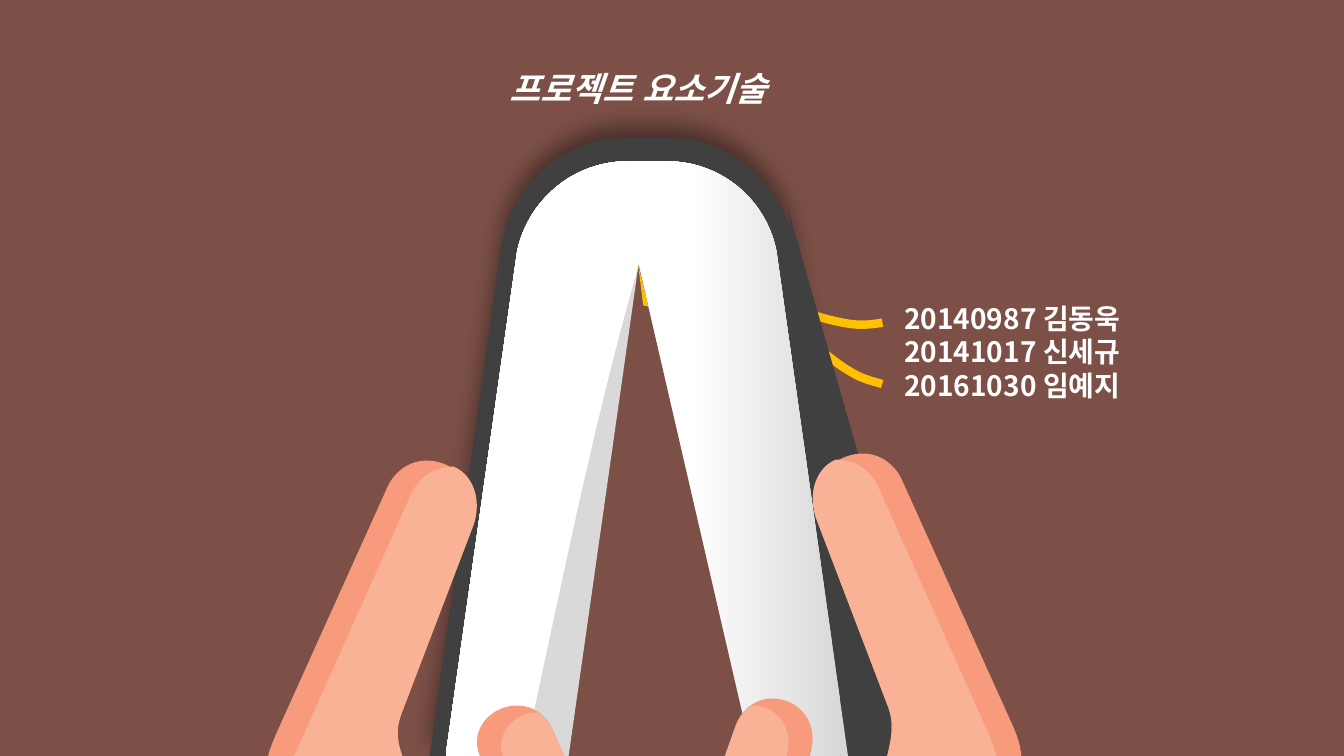
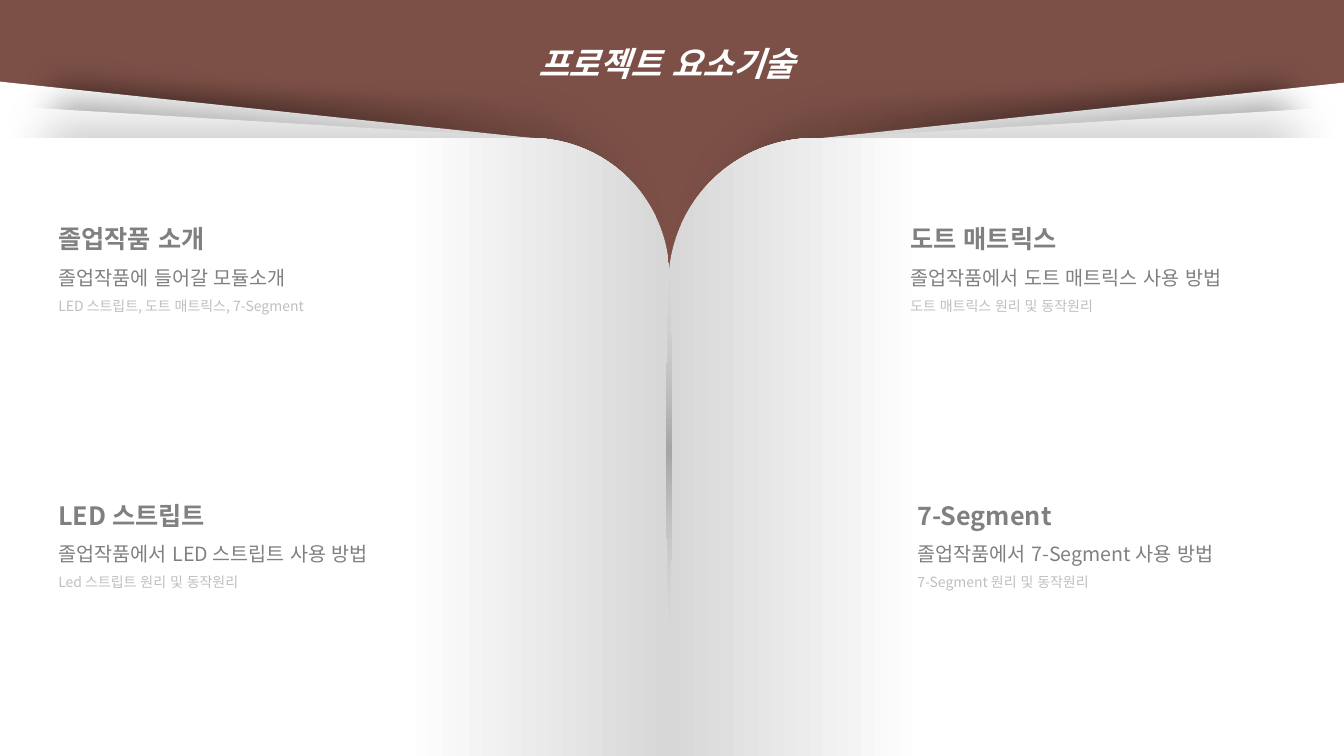
from dataclasses import dataclass

from lxml.etree import SubElement
from pptx import Presentation
from pptx.dml.color import RGBColor
from pptx.enum.lang import MSO_LANGUAGE_ID
from pptx.enum.shapes import MSO_SHAPE
from pptx.enum.text import MSO_AUTO_SIZE, PP_ALIGN
from pptx.oxml.ns import qn
from pptx.util import Inches, Pt


@dataclass(frozen=True)
class Theme:
    font: str = "Noto Sans CJK KR"
    brown: str = "7C5047"
    white: str = "FFFFFF"
    case: str = "404040"
    shade: str = "D7D7D7"
    fold: str = "D9D9D9"
    crease: str = "A6A6A6"
    yellow: str = "FFC000"
    skin: str = "F9B296"
    skin_shade: str = "F89B7D"
    heading: str = "808080"
    detail: str = "BFBFBF"
    title_size: int = 24
    name_size: int = 20
    heading_size: int = 18
    body_size: int = 14
    detail_size: int = 10


theme = Theme()


def add_outline(slide, steps, closed=True):
    """Draw steps in inches: (x, y) is a line, six numbers are a Bezier curve."""
    points = []
    for step in steps:
        if len(step) == 2:
            points.append(step)
            continue
        (x0, y0), (x1, y1, x2, y2, x3, y3) = points[-1], step
        for i in range(1, 21):
            t = i / 20
            a, b, c, d = (1 - t) ** 3, 3 * t * (1 - t) ** 2, 3 * t * t * (1 - t), t ** 3
            points.append((a * x0 + b * x1 + c * x2 + d * x3,
                           a * y0 + b * y1 + c * y2 + d * y3))
    points = [(Inches(x), Inches(y)) for x, y in points]
    builder = slide.shapes.build_freeform(*points[0])
    builder.add_line_segments(points[1:], close=closed)
    return builder.convert_to_shape()


def paint(shape, *stops, shadow=None, flip=False):
    """Fill with one colour or two (colour, position) stops; shadow is upward."""
    shape.shadow.inherit = False
    shape.line.fill.background()
    if len(stops) == 1:
        shape.fill.solid()
        shape.fill.fore_color.rgb = RGBColor.from_string(stops[0])
    else:
        shape.fill.gradient()
        shape.fill.gradient_angle = 180
        for stop, (color, position) in zip(shape.fill.gradient_stops, stops):
            stop.color.rgb = RGBColor.from_string(color)
            stop.position = position
    properties = shape.element.spPr
    if flip:
        properties.find(qn("a:xfrm")).set("flipH", "1")
    if shadow:
        opacity, blur, distance, scale = shadow
        outer = SubElement(properties.find(qn("a:effectLst")), qn("a:outerShdw"),
                           blurRad=str(Pt(blur)), dist=str(Pt(distance)), dir="16200000",
                           sx=str(scale * 1000), sy=str(scale * 1000),
                           algn="b", rotWithShape="0")
        color = SubElement(outer, qn("a:srgbClr"), val="000000")
        SubElement(color, qn("a:alpha"), val=str(opacity * 1000))


deck = Presentation()
deck.slide_width, deck.slide_height = Inches(13.33), Inches(7.5)
cover, contents = (deck.slides.add_slide(deck.slide_layouts[6]) for _ in range(2))
for page in (cover, contents):
    page.background.fill.solid()
    page.background.fill.fore_color.rgb = RGBColor.from_string(theme.brown)

# Cover: ribbons behind the book, each with its rotation
ribbons = [
    (333.2, [(8.13, 2.98), (8.23, 3.08, 8.34, 3.17, 8.43, 3.23),
             (8.52, 3.29, 8.61, 3.32, 8.7, 3.35)]),
    (0, [(8.09, 3.43), (8.21, 3.53, 8.33, 3.63, 8.44, 3.69),
         (8.55, 3.76, 8.65, 3.78, 8.75, 3.81)]),
]
for rotation, steps in ribbons:
    ribbon = add_outline(cover, steps, closed=False)
    ribbon.rotation = rotation
    ribbon.shadow.inherit = False
    ribbon.fill.background()
    ribbon.line.color.rgb = RGBColor.from_string(theme.yellow)
    ribbon.line.width = Pt(6)

# Cover: book
binding = [(6.21, 1.37), (6.63, 1.37), (7.19, 1.37, 7.67, 1.75, 7.83, 2.26), (7.88, 2.5),
           (8.58, 7.5), (4.26, 7.5), (4.96, 2.5), (5.01, 2.26),
           (5.17, 1.75, 5.64, 1.37, 6.21, 1.37)]
paint(add_outline(cover, binding), theme.case, shadow=(40, 16, 9, 100))
sheet = [(6.23, 1.6), (6.61, 1.6), (7.15, 1.6, 7.6, 1.98, 7.7, 2.49), (8.41, 7.5),
         (4.42, 7.5), (5.13, 2.49), (5.24, 1.98, 5.69, 1.6, 6.23, 1.6)]
paint(add_outline(cover, sheet), (theme.shade, 0), (theme.white, 0.4))
paint(add_outline(cover, [(7.81, 2.05), (9.37, 7.5), (8.55, 7.5)]), theme.case)
opening = cover.shapes.add_shape(MSO_SHAPE.ISOSCELES_TRIANGLE, Inches(5.21), Inches(2.63),
                                 Inches(2.25), Inches(4.87))
paint(opening, theme.brown)
fold = [(6.33, 2.65), (5.64, 7.5), (5.2, 7.5), (5.56, 5.86, 5.87, 4.26, 6.33, 2.65)]
paint(add_outline(cover, fold), theme.fold)
paint(add_outline(cover, [(6.38, 3.03), (6.33, 2.63), (6.43, 3.04)]), theme.yellow)

# Cover: right hand, and its reflection as the left hand
inner_edge = [(8.8, 6.99), (8.86, 7.14, 8.86, 7.26, 8.8, 7.5)]
fingers = [
    (theme.skin_shade, [(10.13, 7.5), (10.12, 7.38, 10.08, 7.28, 10.05, 7.21), (8.95, 4.77),
                        (8.88, 4.61, 8.73, 4.5, 8.56, 4.5),
                        (8.24, 4.5, 8, 4.81, 8.09, 5.13)] + inner_edge),
    (theme.skin_shade, [(7.19, 7.5), (7.3, 7.19), (7.36, 7.03, 7.5, 6.93, 7.66, 6.93),
                        (7.92, 6.93, 8.14, 7.17, 8.03, 7.5)]),
    (theme.skin, [(9.88, 7.5), (9.86, 7.42, 9.83, 7.34, 9.8, 7.27), (8.71, 4.83),
                  (8.64, 4.67, 8.48, 4.56, 8.29, 4.56),
                  (8.1, 4.64, 8.01, 4.88, 8.09, 5.13)] + inner_edge),
    (theme.skin, [(7.19, 7.5), (7.3, 7.19), (7.34, 7.1, 7.39, 7.04, 7.46, 7),
                  (7.72, 7, 7.88, 7.24, 7.8, 7.5)]),
]
for color, steps in fingers:
    reflected = [tuple(min(value + 0.07, 7.5) if i % 2 else 12.79 - value
                       for i, value in enumerate(step)) for step in steps]
    for side in (steps, reflected):
        paint(add_outline(cover, side), color)

# Contents: open book
leaf_shadow, page_shadow = (40, 25, 6, 80), (20, 34, 72, 86)
for left, top, flip in ((7.86, 0.82, True), (0, 0.81, False)):
    for drop, height in ((0, 0.58), (0.24, 0.33)):
        leaf = contents.shapes.add_shape(MSO_SHAPE.RIGHT_TRIANGLE, Inches(left),
                                         Inches(top + drop), Inches(5.47), Inches(height))
        paint(leaf, theme.white, shadow=leaf_shadow, flip=flip)
for left, width, corner, light, flip in ((0, 6.64, 0.224, 0.4, False),
                                         (6.63, 6.7, 0.236, 0.38, True)):
    leaf = contents.shapes.add_shape(MSO_SHAPE.ROUND_1_RECTANGLE, Inches(left), Inches(1.37),
                                     Inches(width), Inches(6.13))
    leaf.adjustments[0] = corner
    paint(leaf, (theme.shade, 0), (theme.white, light), shadow=page_shadow, flip=flip)

# Contents: crease that fades out from its centre
crease = contents.shapes.add_shape(MSO_SHAPE.OVAL, Inches(6.61), Inches(2.5),
                                   Inches(0.05), Inches(3.94))
paint(crease, (theme.crease, 0), (theme.fold, 1))
gradient = crease.element.spPr.find(qn("a:gradFill"))
SubElement(gradient.findall(".//" + qn("a:srgbClr"))[-1], qn("a:alpha"), val="0")
linear = gradient.find(qn("a:lin"))
radial = SubElement(gradient, qn("a:path"), path="circle")
SubElement(radial, qn("a:fillToRect"), l="50000", t="50000", r="50000", b="50000")
gradient.replace(linear, radial)

# Text: each style is size, colour, bold, italic
title_style = [(theme.title_size, theme.white, True, True)]
name_style = [(theme.name_size, theme.white, True, False)] * 3
topic_style = [(theme.heading_size, theme.heading, True, False),
               (theme.body_size, theme.heading, False, False),
               (theme.detail_size, theme.detail, False, False)]
title = ["프로젝트 요소기술"]
texts = [
    (cover, (3.94, 0.42, 4.78, 0.63), title_style, title),
    (cover, (8.87, 2.94, 2.45, 1.11), name_style,
     ["20140987 김동욱", "20141017 신세규", "20161030 임예지"]),
    (contents, (4.22, 0.18, 4.78, 0.63), title_style, title),
    (contents, (0.48, 2.02, 3.92, 1.13), topic_style,
     ["졸업작품 소개", "졸업작품에 들어갈 모듈소개", "LED 스트립트, 도트 매트릭스, 7-Segment"]),
    (contents, (0.48, 4.76, 3.92, 1.13), topic_style,
     ["LED 스트립트", "졸업작품에서 LED 스트립트 사용 방법", "Led 스트립트 원리 및 동작원리"]),
    (contents, (8.93, 2.02, 3.92, 1.13), topic_style,
     ["도트 매트릭스", "졸업작품에서 도트 매트릭스 사용 방법", "도트 매트릭스 원리 및 동작원리"]),
    (contents, (9, 4.76, 3.92, 1.13), topic_style,
     ["7-Segment", "졸업작품에서 7-Segment 사용 방법", "7-Segment 원리 및 동작원리"]),
]
for page, place, styles, lines in texts:
    box = page.shapes.add_textbox(*(Inches(value) for value in place))
    frame = box.text_frame
    frame.text = "\n".join(lines)
    frame.word_wrap = styles is not name_style
    frame.auto_size = MSO_AUTO_SIZE.SHAPE_TO_FIT_TEXT
    for para, (size, color, bold, italic) in zip(frame.paragraphs, styles):
        para.alignment = PP_ALIGN.CENTER if styles is title_style else PP_ALIGN.LEFT
        para.line_spacing = 1.0 if styles is name_style else 1.5
        for span in para.runs:
            font = span.font
            font.name, font.size, font.bold, font.italic = theme.font, Pt(size), bold, italic
            font.language_id = MSO_LANGUAGE_ID.KOREAN
            font.color.rgb = RGBColor.from_string(color)
            SubElement(span.font._element, qn("a:ea"), typeface=theme.font)

deck.save("out.pptx")
